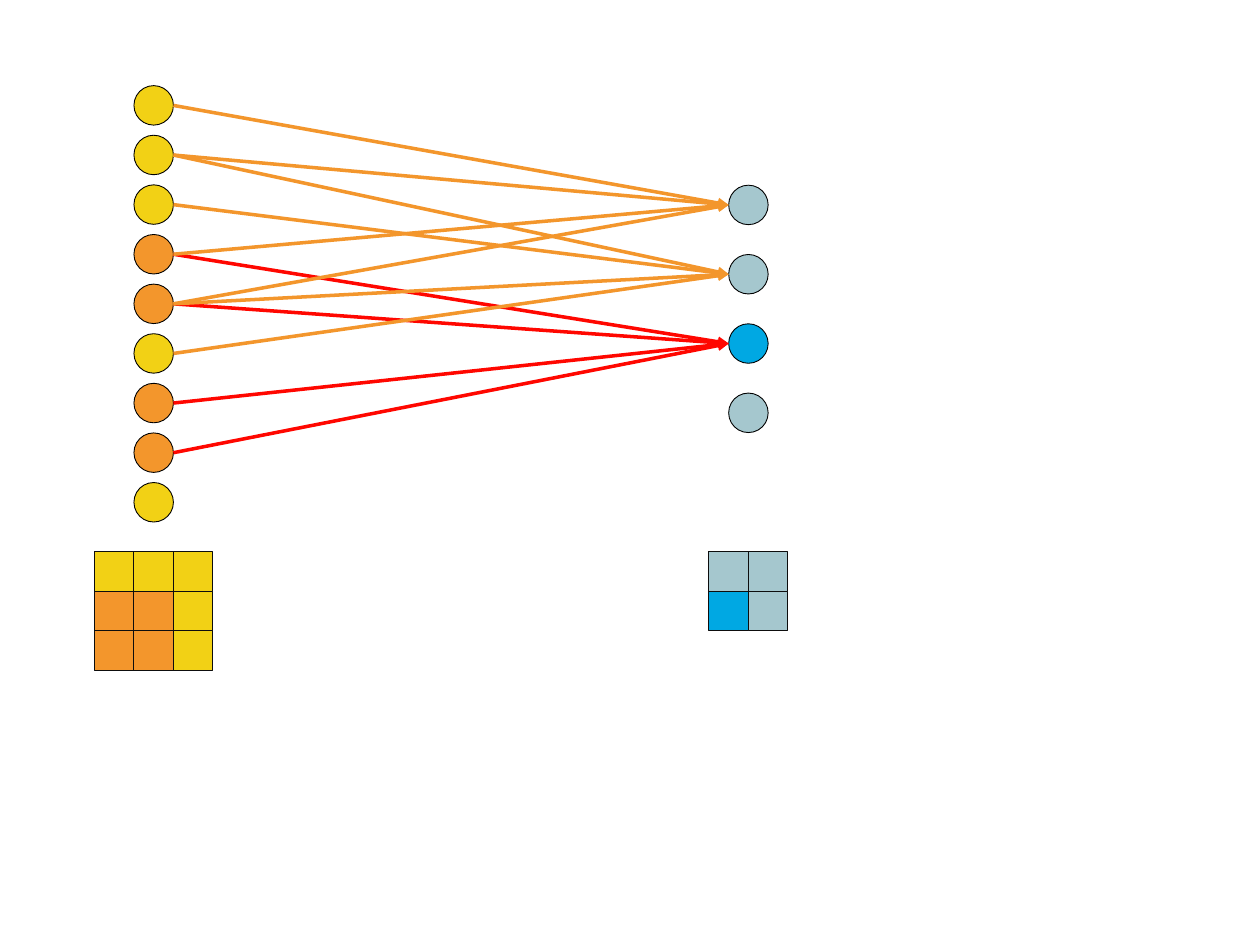
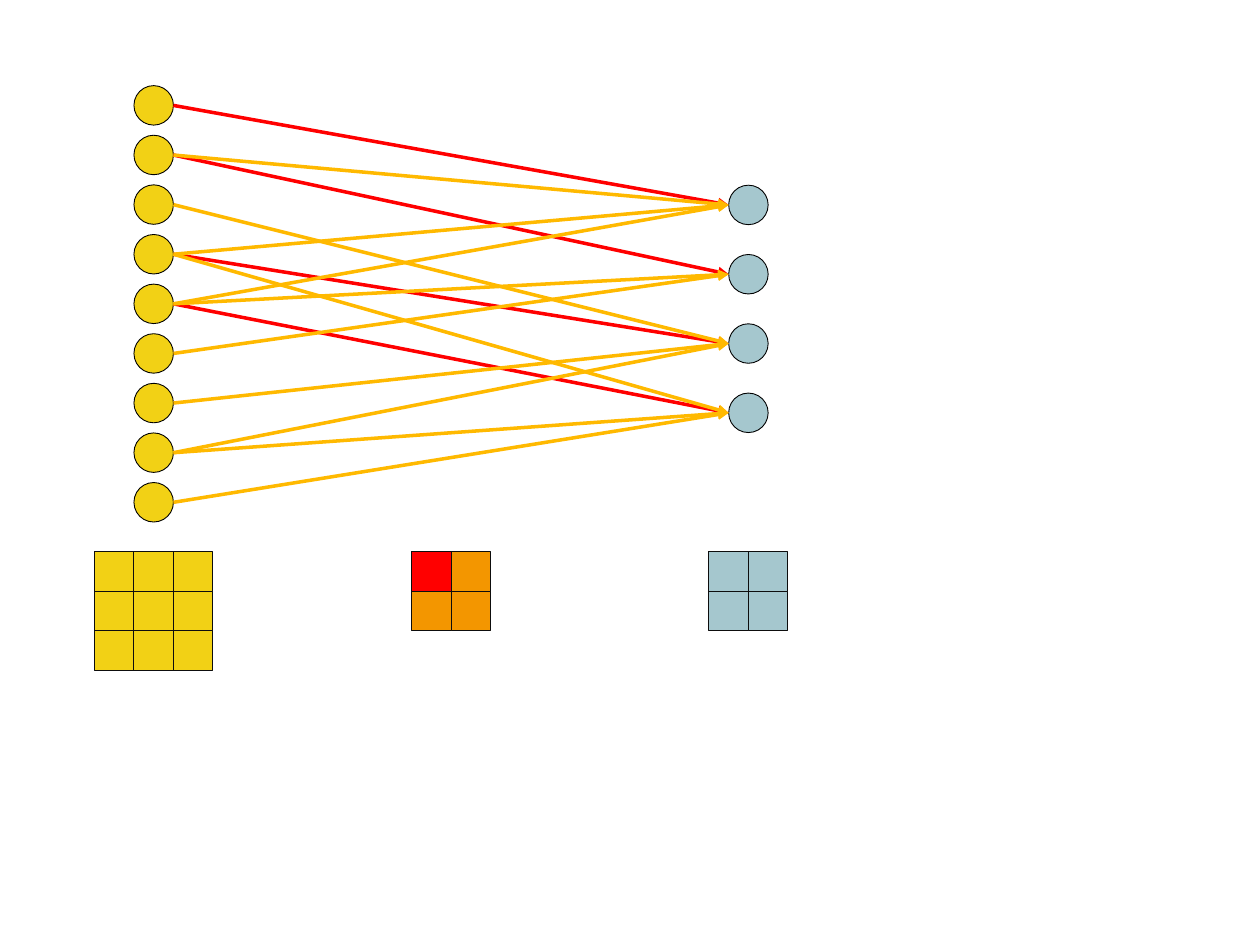
from lxml import etree
from pptx import Presentation
from pptx.dml.color import RGBColor
from pptx.enum.shapes import MSO_CONNECTOR as Connector, MSO_SHAPE as Shape
from pptx.oxml.ns import qn
from pptx.util import Inches, Pt

COLORS = {
    "input": "F2D115", "window": "F3962C",
    "output": "A5C7CE", "result": "00A8E3",
    "kernel": "F39600", "weight": "FF0000",
    "active link": "FF0700", "link": "F3962C", "shared link": "FFB900",
    "node edge": "000000", "cell edge": "0D0D0D",
}

# Content: highlighted cells, and links as (input, output, color) from back to front
SLIDES = [
    {
        "window": {3, 4, 6, 7}, "result": {2}, "kernel": False,
        "links": [
            (0, 0, "link"), (1, 1, "link"), (3, 2, "active link"),
            (1, 0, "link"), (4, 2, "active link"), (3, 0, "link"),
            (4, 1, "link"), (4, 0, "link"), (5, 1, "link"),
            (6, 2, "active link"), (7, 2, "active link"), (2, 1, "link"),
        ],
    },
    {
        "window": set(), "result": set(), "kernel": True,
        "links": [
            (0, 0, "weight"), (1, 1, "weight"), (3, 2, "weight"), (4, 3, "weight"),
            (1, 0, "shared link"), (2, 2, "shared link"), (3, 0, "shared link"),
            (3, 3, "shared link"), (4, 1, "shared link"), (4, 0, "shared link"),
            (5, 1, "shared link"), (6, 2, "shared link"), (7, 2, "shared link"),
            (7, 3, "shared link"), (8, 3, "shared link"),
        ],
    },
]

# Layout in inches: each column is centred on one x
CELL = 0.94 / 3
GRID_TOP = 4.38
INPUT_X, KERNEL_X, OUTPUT_X = 1.22, 3.58, 5.94
INPUT_TOP, INPUT_PITCH = 0.68, 3.15 / 8
OUTPUT_TOP, OUTPUT_PITCH = 1.47, 0.55


def color(name):
    return RGBColor.from_string(COLORS[name])


def add_box(slide, kind, left, top, fill, edge):
    shape = slide.shapes.add_shape(
        kind, Inches(left), Inches(top), Inches(CELL), Inches(CELL))
    shape.shadow.inherit = False
    shape.fill.solid()
    shape.fill.fore_color.rgb = color(fill)
    shape.line.color.rgb = color(edge)
    shape.line.width = Pt(0.5)


def add_nodes(slide, center_x, top, pitch, fills):
    """Draw a column of circles and return the y of each centre."""
    for index, fill in enumerate(fills):
        add_box(slide, Shape.OVAL, center_x - CELL / 2, top + index * pitch,
                fill, "node edge")
    return [top + index * pitch + CELL / 2 for index in range(len(fills))]


def add_grid(slide, center_x, side, fills):
    left = center_x - side * CELL / 2
    for index, fill in enumerate(fills):
        row, column = divmod(index, side)
        add_box(slide, Shape.RECTANGLE, left + column * CELL,
                GRID_TOP + row * CELL, fill, "cell edge")


def add_link(slide, start_y, end_y, name):
    connector = slide.shapes.add_connector(
        Connector.STRAIGHT,
        Inches(INPUT_X + CELL / 2), Inches(start_y),
        Inches(OUTPUT_X - CELL / 2), Inches(end_y))
    connector.line.color.rgb = color(name)
    connector.line.width = Pt(2)
    properties = connector._element.spPr
    etree.SubElement(properties.find(qn("a:ln")), qn("a:tailEnd"), type="triangle")
    etree.SubElement(properties, qn("a:effectLst"))


def build_slide(presentation, content):
    slide = presentation.slides.add_slide(presentation.slide_layouts[6])
    inputs = ["window" if i in content["window"] else "input" for i in range(9)]
    outputs = ["result" if i in content["result"] else "output" for i in range(4)]

    # Flattened vectors above their grids
    input_ys = add_nodes(slide, INPUT_X, INPUT_TOP, INPUT_PITCH, inputs)
    add_grid(slide, INPUT_X, 3, inputs)
    output_ys = add_nodes(slide, OUTPUT_X, OUTPUT_TOP, OUTPUT_PITCH, outputs)
    add_grid(slide, OUTPUT_X, 2, outputs)

    # Links between the vectors
    for source, target, name in content["links"]:
        add_link(slide, input_ys[source], output_ys[target], name)

    # Kernel with its highlighted weight
    if content["kernel"]:
        add_grid(slide, KERNEL_X, 2, ["weight"] + ["kernel"] * 3)


def main():
    presentation = Presentation()
    presentation.slide_width = Inches(10)
    presentation.slide_height = Inches(7.5)
    for content in SLIDES:
        build_slide(presentation, content)
    presentation.save("out.pptx")


if __name__ == "__main__":
    main()
